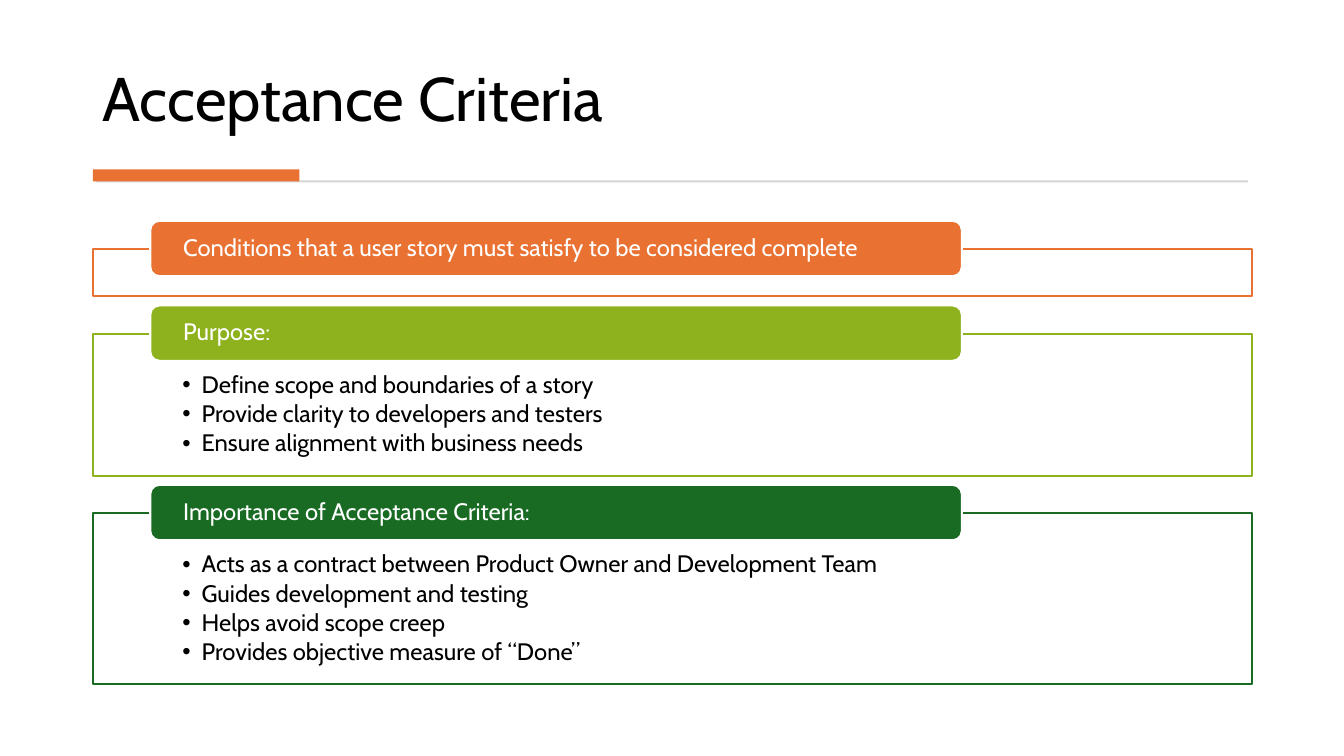
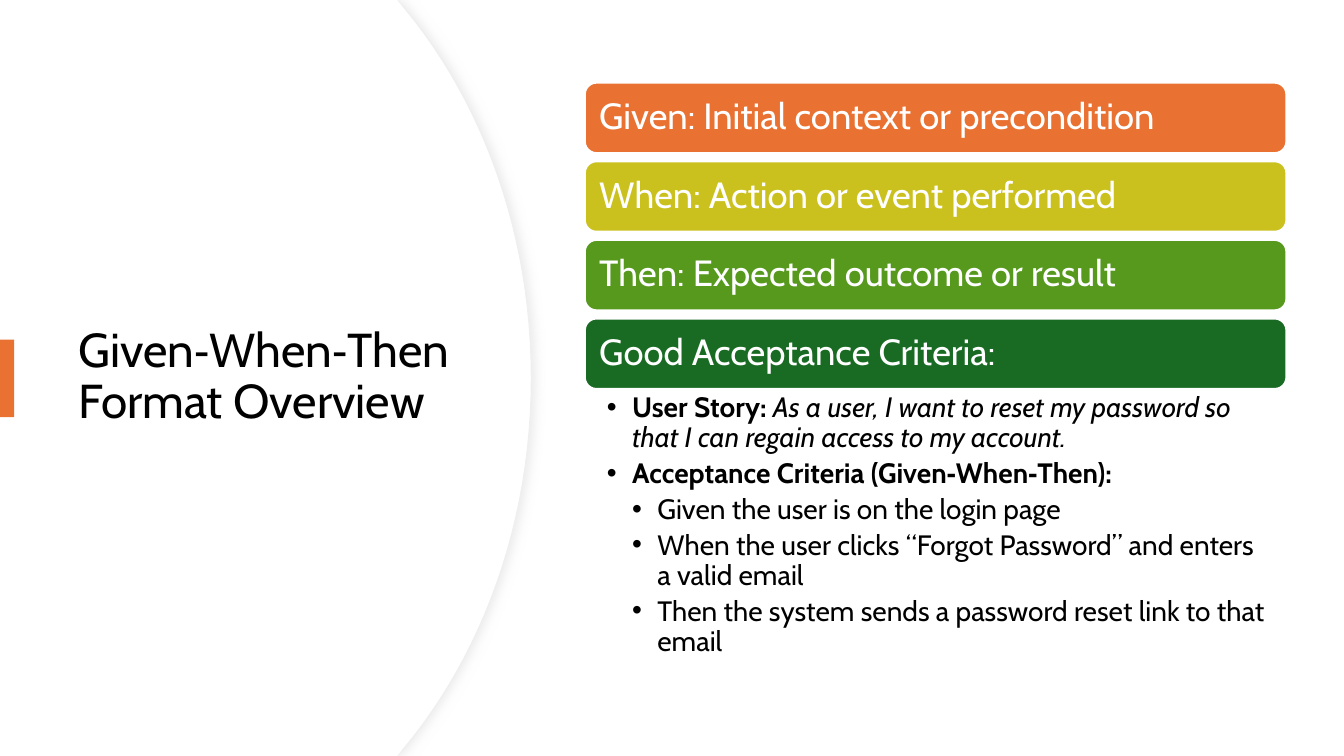
import dataclasses

import lxml.etree
import pptx
import pptx.dml.color
import pptx.enum.shapes
import pptx.enum.text
import pptx.oxml.ns
import pptx.util

Inches = pptx.util.Inches
Pt = pptx.util.Pt
Shape = pptx.enum.shapes.MSO_SHAPE
Anchor = pptx.enum.text.MSO_ANCHOR
qn = pptx.oxml.ns.qn


@dataclasses.dataclass(frozen=True)
class Theme:
    font: str = "Cabin"
    white: str = "FFFFFF"
    black: str = "000000"
    orange: str = "E97132"
    yellow: str = "CBC11E"
    lime: str = "8EB21E"
    leaf: str = "56991D"
    forest: str = "196B24"
    rule: str = "D5D5D5"
    edge: str = "EFEFEF"
    shadow: str = "D9D9D9"
    title: int = 44
    side_title: int = 34
    card: int = 26
    detail: int = 20
    body: int = 17
    line_spacing: float = 0.9
    outline: float = 1.5


@dataclasses.dataclass(frozen=True)
class Bullet:
    spans: tuple  # (text, bold, italic) triples
    left: float
    hanging: float


class SlideMaker:
    """Holds the theme, the deck and the current page."""

    def __init__(self, theme):
        self.theme = theme
        self.deck = pptx.Presentation()
        self.deck.slide_width = Inches(13.33)
        self.deck.slide_height = Inches(7.5)
        self.page = None

    def new_page(self):
        self.page = self.deck.slides.add_slide(self.deck.slide_layouts[6])

    def color(self, value):
        return pptx.dml.color.RGBColor.from_string(value)

    def paint(self, shape, fill, line=None, width=None):
        shape.shadow.inherit = False
        shape.fill.solid()
        shape.fill.fore_color.rgb = self.color(fill)
        if line:
            shape.line.color.rgb = self.color(line)
            shape.line.width = Pt(width or self.theme.outline)
        else:
            shape.line.fill.background()
        return shape

    def block(self, place, fill, line=None, kind=Shape.RECTANGLE):
        shape = self.page.shapes.add_shape(kind, *map(Inches, place))
        return self.paint(shape, fill, line)

    def fill_text(self, shape, items, size, color, after=0, anchor=Anchor.TOP,
                  insets=(0.1, 0.05, 0.1, 0.05)):
        """Fill a shape with plain strings or Bullets."""
        frame = shape.text_frame
        frame.word_wrap = True
        frame.vertical_anchor = anchor
        (frame.margin_left, frame.margin_top,
         frame.margin_right, frame.margin_bottom) = map(Inches, insets)
        for index, item in enumerate(items):
            para = frame.paragraphs[0] if index == 0 else frame.add_paragraph()
            para.alignment = pptx.enum.text.PP_ALIGN.LEFT
            para.line_spacing = self.theme.line_spacing
            para.space_after = Pt(after)
            if isinstance(item, Bullet):
                self.mark(para, item)
            spans = item.spans if isinstance(item, Bullet) else ((item, False, False),)
            para.font.name = self.theme.font
            para.font.size = Pt(size)
            para.font.color.rgb = self.color(color)
            for text, bold, italic in spans:
                span = para.add_run()
                span.text = text
                if bold:
                    span.font.bold = True
                if italic:
                    span.font.italic = True

    def mark(self, para, bullet):
        properties = para._p.get_or_add_pPr()
        properties.set("marL", str(Inches(bullet.left)))
        properties.set("indent", str(-Inches(bullet.hanging)))
        lxml.etree.SubElement(properties, qn("a:buFont")).set("typeface", "Arial")
        lxml.etree.SubElement(properties, qn("a:buChar")).set("char", "•")

    def text(self, place, items, size, **options):
        box = self.page.shapes.add_textbox(*map(Inches, place))
        self.fill_text(box, items, size, self.theme.black, **options)

    def bar(self, place, label, fill, size, insets):
        shape = self.block(place, fill, self.theme.white, Shape.ROUNDED_RECTANGLE)
        self.fill_text(shape, [label], size, self.theme.white,
                       anchor=Anchor.MIDDLE, insets=insets)

    def framed_list(self, top, height, label, items, color):
        """An outlined frame with a tab over its top edge."""
        frame = self.block((0.92, top, 11.5, height), self.theme.white, color)
        if items:
            bullets = [Bullet(((item, False, False),), 0.19, 0.19) for item in items]
            self.fill_text(frame, bullets, self.theme.body, self.theme.black,
                           after=2.5, insets=(0.89, 0.39, 0.89, 0.13))
        self.bar((1.49, top - 0.28, 8.05, 0.55), label, color,
                 self.theme.body, (0.3, 0, 0.3, 0))

    def curved_panel(self, right):
        """A panel from the left slide edge, bulging out to the right."""
        controls = ((right - 1.26, 0.08), (right - 0.48, 1.02),
                    (right, 2.32), (right, 3.75))
        steps = 24
        upper = [(3.94, 0)]
        for step in range(steps + 1):
            t = step / steps
            weights = ((1 - t) ** 3, 3 * t * (1 - t) ** 2, 3 * t * t * (1 - t), t ** 3)
            upper.append(tuple(sum(w * point[axis] for w, point in zip(weights, controls))
                               for axis in (0, 1)))
        lower = [(x, 7.5 - y) for x, y in reversed(upper[:-1])]
        points = [(Inches(x), Inches(y)) for x, y in upper + lower + [(0, 7.5)]]
        builder = self.page.shapes.build_freeform(0, 0)
        builder.add_line_segments(points, close=True)
        return builder.convert_to_shape()

    def cast_shadow(self, shape):
        effects = shape._element.spPr.find(qn("a:effectLst"))
        shadow = lxml.etree.SubElement(effects, qn("a:outerShdw"))
        shadow.set("blurRad", str(Pt(7)))
        shadow.set("dist", str(Pt(3)))
        shadow.set("dir", "0")
        tint = lxml.etree.SubElement(shadow, qn("a:srgbClr"))
        tint.set("val", self.theme.shadow)
        lxml.etree.SubElement(tint, qn("a:alpha")).set("val", "50000")


def acceptance_criteria(maker):
    theme = maker.theme
    maker.new_page()

    # Title and rule
    maker.text((0.92, 0.28, 11.49, 1.11), ["Acceptance Criteria"], theme.title,
               anchor=Anchor.BOTTOM)
    maker.block((0.95, 1.79, 11.43, 0.02), theme.rule)
    maker.block((0.92, 1.68, 2.05, 0.12), theme.orange)

    # Framed lists, stacked with equal gaps
    sections = (
        (0.47, theme.orange,
         "Conditions that a user story must satisfy to be considered complete", ()),
        (1.41, theme.lime, "Purpose:",
         ("Define scope and boundaries of a story",
          "Provide clarity to developers and testers",
          "Ensure alignment with business needs")),
        (1.7, theme.forest, "Importance of Acceptance Criteria:",
         ("Acts as a contract between Product Owner and Development Team",
          "Guides development and testing",
          "Helps avoid scope creep",
          "Provides objective measure of “Done”")),
    )
    top, gap = 2.47, 0.37
    for height, color, label, items in sections:
        maker.framed_list(top, height, label, items, color)
        top += height + gap


def format_overview(maker):
    theme = maker.theme
    maker.new_page()

    # Curved side panel with title
    rim = maker.paint(maker.curved_panel(5.27), theme.white, theme.edge, 0.75)
    maker.cast_shadow(rim)
    maker.paint(maker.curved_panel(5.26), theme.white)
    maker.text((0.68, 1.27, 3.94, 4.95), ["Given‑When‑Then Format Overview"],
               theme.side_title, anchor=Anchor.MIDDLE)
    maker.block((0, 3.37, 0.14, 0.77), theme.orange)

    # Stacked bars
    bars = (
        ("Given: Initial context or precondition", theme.orange),
        ("When: Action or event performed", theme.yellow),
        ("Then: Expected outcome or result", theme.leaf),
        ("Good Acceptance Criteria:", theme.forest),
    )
    for row, (label, color) in enumerate(bars):
        maker.bar((5.8, 0.82 + 0.78 * row, 6.96, 0.7), label, color,
                  theme.card, (0.11,) * 4)

    # Worked example
    story = (("User Story: ", True, False),
             ("As a user, I want to reset my password so that I can regain "
              "access to my account.", False, True))
    heading = (("Acceptance Criteria (Given‑When‑Then):", True, False),)
    steps = ("Given the user is on the login page",
             "When the user clicks “Forgot Password” and enters a valid email",
             "Then the system sends a password reset link to that email")
    bullets = [Bullet(spans, 0.25, 0.25) for spans in (story, heading)]
    bullets += [Bullet(((step, False, False),), 0.5, 0.25) for step in steps]
    maker.text((5.8, 3.86, 6.96, 2.83), bullets, theme.detail, after=4,
               insets=(0.22, 0.04, 0.2, 0.04))


def main():
    maker = SlideMaker(Theme())
    acceptance_criteria(maker)
    format_overview(maker)
    maker.deck.save("out.pptx")


if __name__ == "__main__":
    main()
